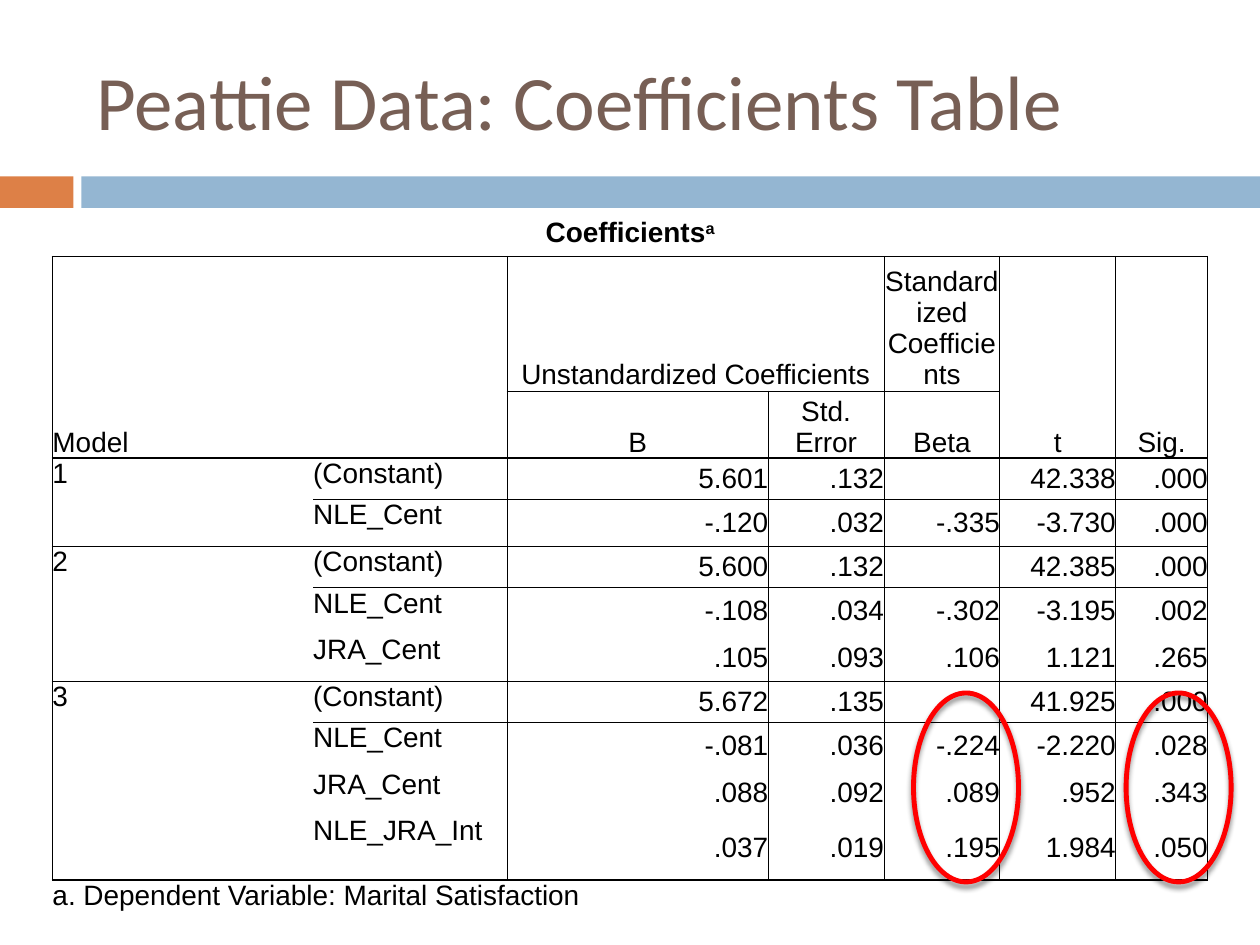
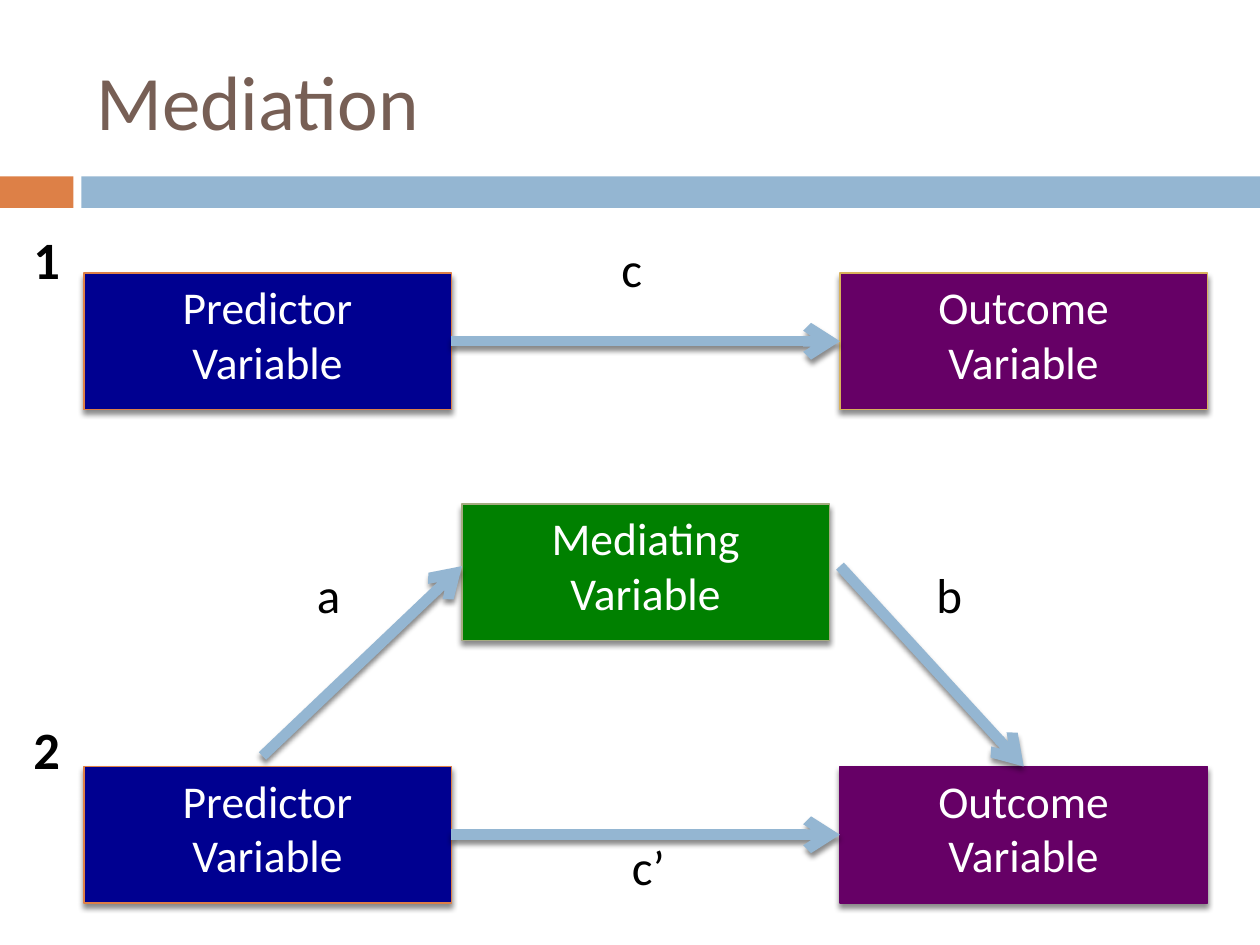
from lxml import etree
from pptx import Presentation
from pptx.dml.color import RGBColor
from pptx.enum.shapes import MSO_CONNECTOR, MSO_SHAPE
from pptx.enum.text import MSO_ANCHOR, PP_ALIGN
from pptx.oxml import parse_xml
from pptx.oxml.ns import nsdecls, qn
from pptx.util import Pt

# Shared colours and fonts
BLACK = RGBColor(0x00, 0x00, 0x00)
WHITE = RGBColor(0xFF, 0xFF, 0xFF)
BROWN = RGBColor(0x77, 0x5F, 0x55)
ORANGE = RGBColor(0xDD, 0x80, 0x47)
BLUE = RGBColor(0x94, 0xB6, 0xD2)
GOLD = RGBColor(0xD8, 0xB2, 0x5C)
SAGE = RGBColor(0xA5, 0xAB, 0x81)
RED = RGBColor(0xFF, 0x00, 0x00)
NAVY = RGBColor(0x00, 0x00, 0x90)
PURPLE = RGBColor(0x66, 0x00, 0x66)
GREEN = RGBColor(0x00, 0x80, 0x00)
BODY_FONT, TABLE_FONT = "Calibri", "Arial"
NO_STYLE = "{2D5ABB26-0587-4C30-8999-92F81FD0307C}"

# Coefficients table
COL_WIDTHS = [149, 111, 149, 66.2, 66.2, 66.2, 52.6]
ROW_HEIGHTS = [26.6, 72.7, 36.7, 23.8, 26.6, 23.8, 26.6, 26.6,
               23.8, 26.6, 26.6, 36.7, 20.2]
HEADERS = [
    ["Model", "", "Unstandardized Coefficients", "",
     "Standardized Coefficients", "t", "Sig."],
    ["", "", "B", "Std. Error", "Beta", "", ""],
]
MODELS = [
    [["(Constant)", "5.601", ".132", "", "42.338", ".000"],
     ["NLE_Cent", "-.120", ".032", "-.335", "-3.730", ".000"]],
    [["(Constant)", "5.600", ".132", "", "42.385", ".000"],
     ["NLE_Cent", "-.108", ".034", "-.302", "-3.195", ".002"],
     ["JRA_Cent", ".105", ".093", ".106", "1.121", ".265"]],
    [["(Constant)", "5.672", ".135", "", "41.925", ".000"],
     ["NLE_Cent", "-.081", ".036", "-.224", "-2.220", ".028"],
     ["JRA_Cent", ".088", ".092", ".089", ".952", ".343"],
     ["NLE_JRA_Int", ".037", ".019", ".195", "1.984", ".050"]],
]
FIRST_BODY_ROW = 3
NOTE_ROW = len(ROW_HEIGHTS) - 1

# Mediation diagram
BOX_W, BOX_H = 210, 78
LEFT_X, MID_X, RIGHT_X = 48, 264, 480


def put_text(tf, text, font=BODY_FONT, size=16, color=BLACK, bold=False,
             align=PP_ALIGN.LEFT, anchor=MSO_ANCHOR.TOP):
    tf.word_wrap = True
    tf.vertical_anchor = anchor
    for i, line in enumerate(text.split("\n")):
        p = tf.paragraphs[0] if i == 0 else tf.add_paragraph()
        p.alignment = align
        p.font.size = Pt(size)
        if line:
            add_run(p, line, font, size, color, bold)


def add_run(p, text, font, size, color, bold):
    r = p.add_run()
    r.text = text
    r.font.name, r.font.size, r.font.bold = font, Pt(size), bold
    r.font.color.rgb = color
    return r


def add_label(s, text, x, y, w, h, **fmt):
    tb = s.shapes.add_textbox(Pt(x), Pt(y), Pt(w), Pt(h))
    put_text(tb.text_frame, text, **fmt)


def add_shadow(sp):
    sp_pr = sp._element.spPr
    for old in sp_pr.findall(qn("a:effectLst")):
        sp_pr.remove(old)
    sp_pr.append(parse_xml(
        f'<a:effectLst {nsdecls("a")}>'
        '<a:outerShdw blurRad="38100" dist="30480" dir="5400000" rotWithShape="0">'
        '<a:srgbClr val="000000"><a:alpha val="45000"/></a:srgbClr>'
        '</a:outerShdw></a:effectLst>'))


def add_shape(s, kind, x, y, w, h, fill=None, line=None, width=0.79):
    sp = s.shapes.add_shape(kind, Pt(x), Pt(y), Pt(w), Pt(h))
    if fill is None:
        sp.fill.background()
    else:
        sp.fill.solid()
        sp.fill.fore_color.rgb = fill
    sp.shadow.inherit = False
    if line is None:
        sp.line.fill.background()
    else:
        sp.line.color.rgb = line
        sp.line.width = Pt(width)
        add_shadow(sp)
    return sp


def add_box(s, text, x, y, fill, line):
    sp = add_shape(s, MSO_SHAPE.RECTANGLE, x, y, BOX_W, BOX_H, fill, line)
    put_text(sp.text_frame, text, size=26, color=WHITE, align=PP_ALIGN.CENTER)
    return sp


def add_arrow(s, start=(0, 0), end=(0, 0), begin_at=None, end_at=None):
    """begin_at and end_at are (box, side) pairs that override the points."""
    cn = s.shapes.add_connector(MSO_CONNECTOR.STRAIGHT,
                                *[Pt(v) for v in (*start, *end)])
    if begin_at:
        cn.begin_connect(*begin_at)
    if end_at:
        cn.end_connect(*end_at)
    cn.line.color.rgb = BLUE
    cn.line.width = Pt(6)
    ln = cn._element.spPr.find(qn("a:ln"))
    etree.SubElement(ln, qn("a:tailEnd"), type="arrow")
    add_shadow(cn)


def add_titled_slide(prs, title):
    s = prs.slides.add_slide(prs.slide_layouts[6])
    add_shape(s, MSO_SHAPE.RECTANGLE, 0, 100.8, 42, 18, ORANGE)
    add_shape(s, MSO_SHAPE.RECTANGLE, 46.5, 100.8, 673.5, 18, BLUE)
    add_label(s, title, 48, 18, 642, 78, size=44, color=BROWN,
              anchor=MSO_ANCHOR.MIDDLE)
    return s


def left_rule(row, col):
    """Width of the rule on the left of a column, or None."""
    if not 1 <= row < NOTE_ROW or col == 1 or (row, col) == (1, 3):
        return None
    return 1 if col in (0, 2) else 0.5


def top_rule(row, col):
    """Width of the rule above a row, or None."""
    if row == 2:
        return 0.5 if 2 <= col <= 4 else None
    return {1: 1, 3: 1, 5: 0.5, 8: 0.5, NOTE_ROW: 1}.get(row)


def set_rules(cell, row, col):
    below, beyond = row + cell.span_height, col + cell.span_width
    if cell.is_spanned:
        below, beyond = row + 1, col + 1
    rules = {"L": left_rule(row, col), "R": left_rule(row, beyond),
             "T": top_rule(row, col), "B": top_rule(below, col)}
    tc_pr = cell._tc.get_or_add_tcPr()
    for side, width in rules.items():
        if width:
            ln = etree.SubElement(tc_pr, qn(f"a:ln{side}"), w=str(Pt(width)))
            solid = etree.SubElement(ln, qn("a:solidFill"))
            etree.SubElement(solid, qn("a:srgbClr"), val=str(BLACK))


def fill_cell(tbl, row, col, text, **fmt):
    put_text(tbl.cell(row, col).text_frame, text, font=TABLE_FONT, **fmt)
    tbl.cell(row, col).vertical_anchor = fmt.get("anchor", MSO_ANCHOR.TOP)


def add_coefficients_table(s):
    n_rows, n_cols = len(ROW_HEIGHTS), len(COL_WIDTHS)
    tbl = s.shapes.add_table(n_rows, n_cols, Pt(30), Pt(120),
                             Pt(sum(COL_WIDTHS)), Pt(sum(ROW_HEIGHTS))).table
    tbl.first_row = tbl.horz_banding = False
    tbl._tbl.tblPr.find(qn("a:tableStyleId")).text = NO_STYLE
    for column, width in zip(tbl.columns, COL_WIDTHS):
        column.width = Pt(width)
    for table_row, height in zip(tbl.rows, ROW_HEIGHTS):
        table_row.height = Pt(height)

    # Merged areas: first row, first column, last row, last column
    merges = [(0, 0, 0, 6), (1, 0, 2, 1), (1, 2, 1, 3), (1, 5, 2, 5),
              (1, 6, 2, 6), (NOTE_ROW, 0, NOTE_ROW, 4)]
    row = FIRST_BODY_ROW
    for model in MODELS:
        merges.append((row, 0, row + len(model) - 1, 0))
        row += len(model)
    for top, left, bottom, right in merges:
        tbl.cell(top, left).merge(tbl.cell(bottom, right))

    # Rules, margins and fills
    for row in range(n_rows):
        for col in range(n_cols):
            cell = tbl.cell(row, col)
            set_rules(cell, row, col)
            cell.margin_left = cell.margin_right = 0
            cell.margin_top = cell.margin_bottom = 0
            cell.fill.solid()
            cell.fill.fore_color.rgb = WHITE

    # Caption and headers
    fill_cell(tbl, 0, 0, "Coefficients", bold=True, align=PP_ALIGN.CENTER,
              anchor=MSO_ANCHOR.MIDDLE)
    mark = add_run(tbl.cell(0, 0).text_frame.paragraphs[0], "a",
                   TABLE_FONT, 16, BLACK, True)
    mark.font._element.set("baseline", "30000")
    for row, names in enumerate(HEADERS, 1):
        for col, name in enumerate(names):
            if name:
                fill_cell(tbl, row, col, name, anchor=MSO_ANCHOR.BOTTOM,
                          align=PP_ALIGN.CENTER if col else PP_ALIGN.LEFT)

    # Models and note
    row = FIRST_BODY_ROW
    for number, model in enumerate(MODELS, 1):
        fill_cell(tbl, row, 0, str(number))
        for term, *values in model:
            fill_cell(tbl, row, 1, term)
            for col, value in enumerate(values, 2):
                fill_cell(tbl, row, col, value, align=PP_ALIGN.RIGHT,
                          anchor=MSO_ANCHOR.MIDDLE)
            row += 1
    fill_cell(tbl, NOTE_ROW, 0, "a. Dependent Variable: Marital Satisfaction")


def build_coefficients(prs):
    s = add_titled_slide(prs, "Peattie Data: Coefficients Table")
    add_coefficients_table(s)
    # Rings around the Beta and Sig. values
    for x in (522, 643.5):
        add_shape(s, MSO_SHAPE.OVAL, x, 396, 60, 108, line=RED, width=2.79)


def build_mediation(prs):
    s = add_titled_slide(prs, "Mediation")

    # Direct path in both models
    for y, outcome_line in ((156, GOLD), (438, PURPLE)):
        predictor = add_box(s, "Predictor\nVariable", LEFT_X, y, NAVY, ORANGE)
        outcome = add_box(s, "Outcome\nVariable", RIGHT_X, y, PURPLE, outcome_line)
        add_arrow(s, begin_at=(predictor, 3), end_at=(outcome, 1))

    # Path through the mediator, using the lower outcome box
    add_box(s, "Mediating\nVariable", MID_X, 288, GREEN, SAGE)
    add_arrow(s, start=(480, 323.5), end_at=(outcome, 0))
    add_arrow(s, start=(150, 432), end=(264, 323.5))

    # Model numbers and path names
    for text, y in (("1", 126), ("2", 406)):
        add_label(s, text, 12, y, 48, 44, size=30, bold=True)
    for text, x, y in (("a", 174, 319), ("c", 348, 132.5),
                       ("b", 528, 319), ("c’", 354, 474.5)):
        add_label(s, text, x, y, 42, 41, size=28)


def main():
    prs = Presentation()
    prs.slide_width, prs.slide_height = Pt(720), Pt(540)
    build_coefficients(prs)
    build_mediation(prs)
    prs.save("out.pptx")


if __name__ == "__main__":
    main()
